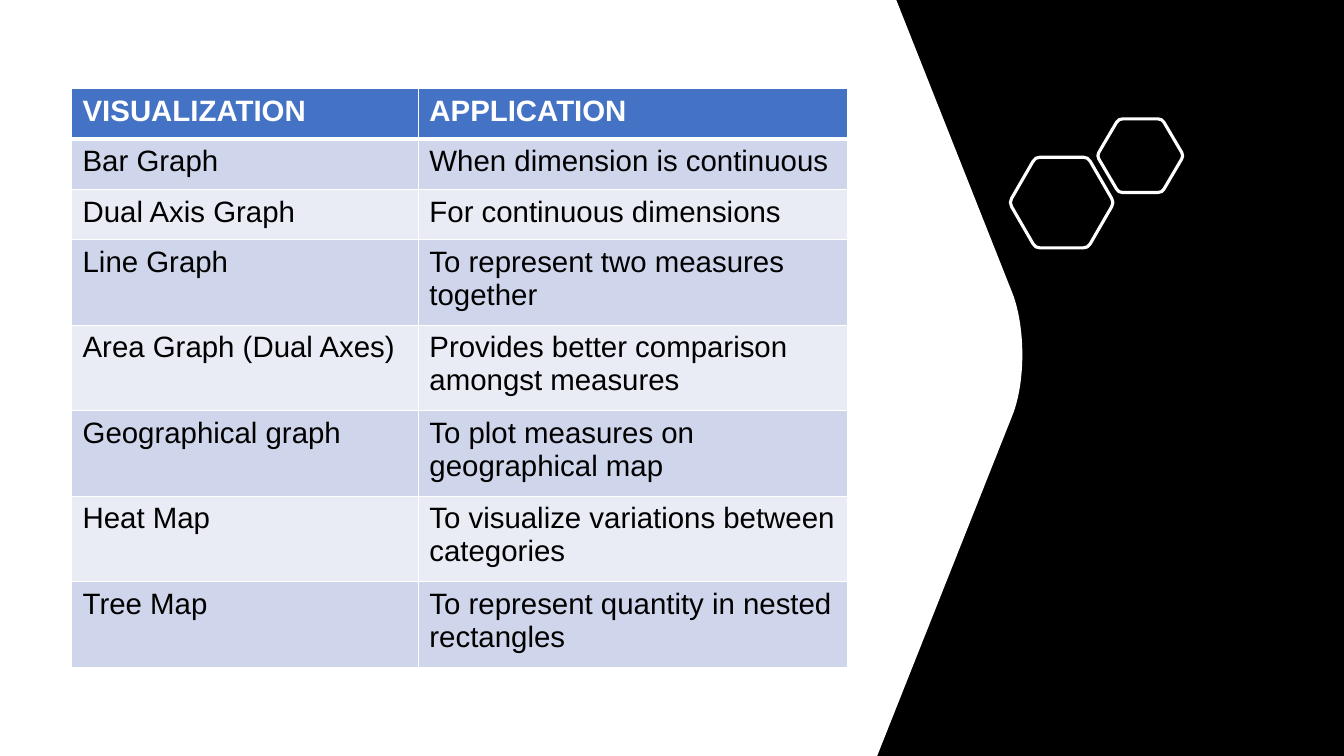
from lxml.etree import SubElement
from pptx import Presentation
from pptx.dml.color import RGBColor
from pptx.enum.shapes import MSO_SHAPE
from pptx.oxml import parse_xml
from pptx.oxml.ns import nsdecls, qn
from pptx.util import Inches, Pt

WIDTH, HEIGHT = 13.33, 7.5
FONT = "Arial"
COLORS = {
    "black": "000000",
    "white": "FFFFFF",
    "header": "4472C4",
    "band_dark": "CFD5EA",
    "band_light": "E9EBF5",
}
ROWS = [
    ("VISUALIZATION", "APPLICATION"),
    ("Bar Graph", "When dimension is continuous"),
    ("Dual Axis Graph", "For continuous dimensions"),
    ("Line Graph", "To represent two measures together"),
    ("Area Graph (Dual Axes)", "Provides better comparison amongst measures"),
    ("Geographical graph", "To plot measures on geographical map"),
    ("Heat Map", "To visualize variations between categories"),
    ("Tree Map", "To represent quantity in nested rectangles"),
]
COLUMN_WIDTHS = (3.44, 4.26)
SHORT_ROWS = 3
SHORT_HEIGHT = 0.5
PAGE_EDGE = [
    [(0, 0)],
    [(8.89, 0)],
    [(10.05, 2.93)],
    [(10.17, 3.27), (10.17, 3.77), (10.05, 4.1)],
    [(8.7, 7.5)],
    [(0, 7.5)],
]
HEXAGON = [(0, 0.5), (0.25, 0), (0.75, 0), (1, 0.5), (0.75, 1), (0.25, 1)]
HEXAGON_BOXES = [(10.01, 1.56, 1.04, 0.9), (10.88, 1.18, 0.86, 0.73)]
CORNER_SHARE = 0.09


def color(name):
    return RGBColor.from_string(COLORS[name])


def toward(start, end, share):
    return tuple(a + (b - a) * share for a, b in zip(start, end))


def add_outline(slide, segments):
    points = [(Inches(x), Inches(y)) for segment in segments for x, y in segment]
    builder = slide.shapes.build_freeform(*points[0])
    builder.add_line_segments(points[1:], close=True)
    shape = builder.convert_to_shape()
    shape.shadow.inherit = False
    lines = iter(list(shape._element.iter(qn("a:lnTo"))))
    for segment in segments[1:]:
        first, *others = [next(lines) for _ in segment]
        if others:
            first.tag = qn("a:cubicBezTo")
        for line in others:
            first.append(line[0])
            line.getparent().remove(line)
    return shape


def add_backdrop(slide, box):
    left, top = box[:2]
    panel = slide.shapes.add_shape(MSO_SHAPE.RECTANGLE, *map(Inches, box))
    panel.shadow.inherit = False
    page = add_outline(slide, [[(left + x, top + y) for x, y in segment]
                               for segment in PAGE_EDGE])
    for shape, name in ((panel, "black"), (page, "white")):
        shape.fill.solid()
        shape.fill.fore_color.rgb = color(name)
        shape.line.fill.background()


def add_hexagon(slide, box):
    left, top, width, height = box
    corners = [(left + x * width, top + y * height) for x, y in HEXAGON]
    segments = []
    for index, corner in enumerate(corners):
        before = toward(corner, corners[index - 1], CORNER_SHARE)
        after = toward(corner, corners[(index + 1) % len(corners)], CORNER_SHARE)
        segments += [[before], [toward(before, corner, 0.67),
                                toward(after, corner, 0.67), after]]
    shape = add_outline(slide, segments)
    shape.fill.background()
    shape.line.color.rgb = color("white")
    shape.line.width = Pt(2.25)


def set_borders(cell, top, bottom):
    properties = cell._tc.get_or_add_tcPr()
    widths = {"lnL": 1, "lnR": 1, "lnT": top, "lnB": bottom}
    for position, (side, width) in enumerate(widths.items()):
        line = parse_xml(f'<a:{side} {nsdecls("a")} w="{Pt(width)}"/>')
        fill = SubElement(line, qn("a:solidFill"))
        SubElement(fill, qn("a:srgbClr")).set("val", COLORS["white"])
        properties.insert(position, line)


def format_cell(cell, text, row):
    header = row == 0
    band = "band_dark" if row % 2 else "band_light"
    cell.fill.solid()
    cell.fill.fore_color.rgb = color("header" if header else band)
    cell.margin_left = cell.margin_right = Inches(0.11)
    cell.margin_top = cell.margin_bottom = Inches(0.06)
    set_borders(cell, 3 if row == 1 else 1, 3 if header else 1)
    cell.text_frame.text = text
    font = cell.text_frame.paragraphs[0].runs[0].font
    font.name = FONT
    font.size = Pt(21)
    font.bold = header
    font.color.rgb = color("white" if header else "black")


def add_visualization_table(slide, box):
    height = box[3]
    tall_height = (height - SHORT_ROWS * SHORT_HEIGHT) / (len(ROWS) - SHORT_ROWS)
    frame = slide.shapes.add_table(len(ROWS), len(COLUMN_WIDTHS), *map(Inches, box))
    table = frame.table
    for column, width in zip(table.columns, COLUMN_WIDTHS):
        column.width = Inches(width)
    for row, texts in enumerate(ROWS):
        table.rows[row].height = Inches(SHORT_HEIGHT if row < SHORT_ROWS else tall_height)
        for column, text in enumerate(texts):
            format_cell(table.cell(row, column), text, row)


def main():
    presentation = Presentation()
    presentation.slide_width = Inches(WIDTH)
    presentation.slide_height = Inches(HEIGHT)
    slide = presentation.slides.add_slide(presentation.slide_layouts[6])
    add_backdrop(slide, (0, 0, WIDTH, HEIGHT))
    for box in HEXAGON_BOXES:
        add_hexagon(slide, box)
    add_visualization_table(slide, (0.71, 0.88, sum(COLUMN_WIDTHS), 5.74))
    presentation.save("out.pptx")


if __name__ == "__main__":
    main()
